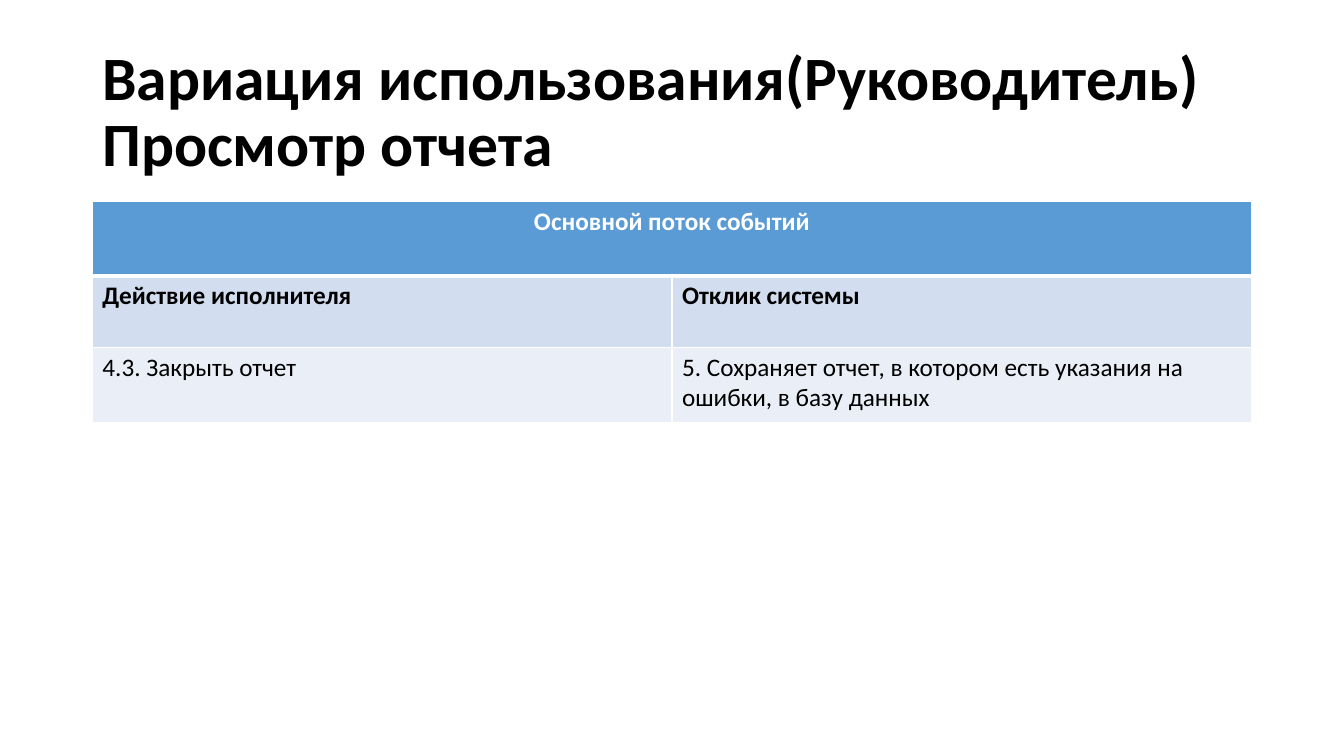
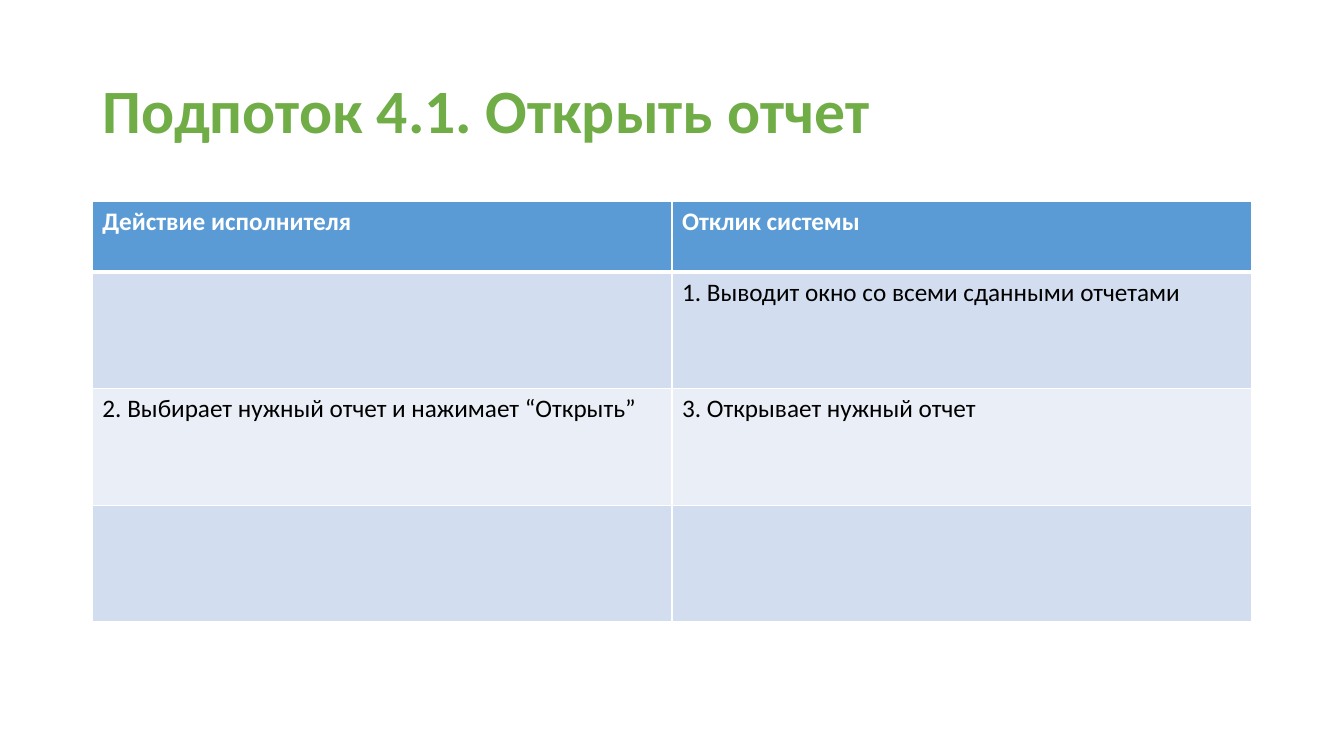
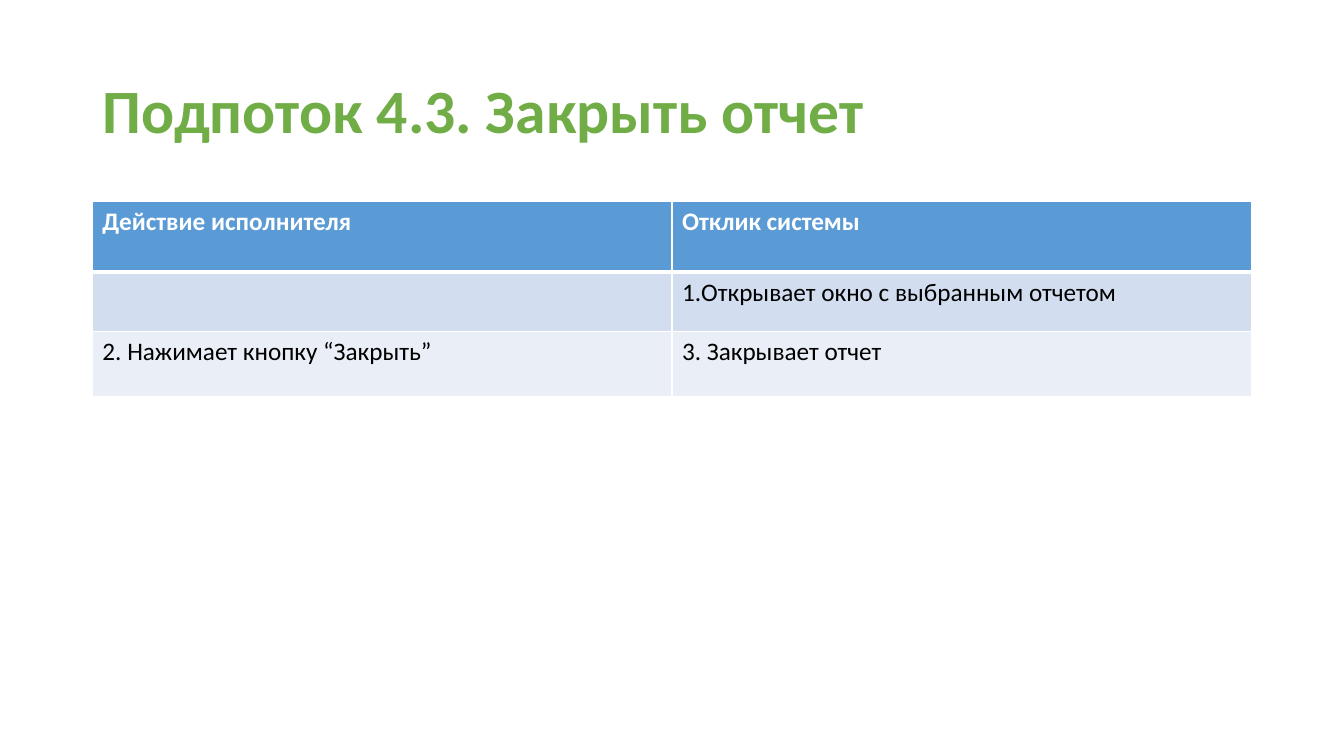
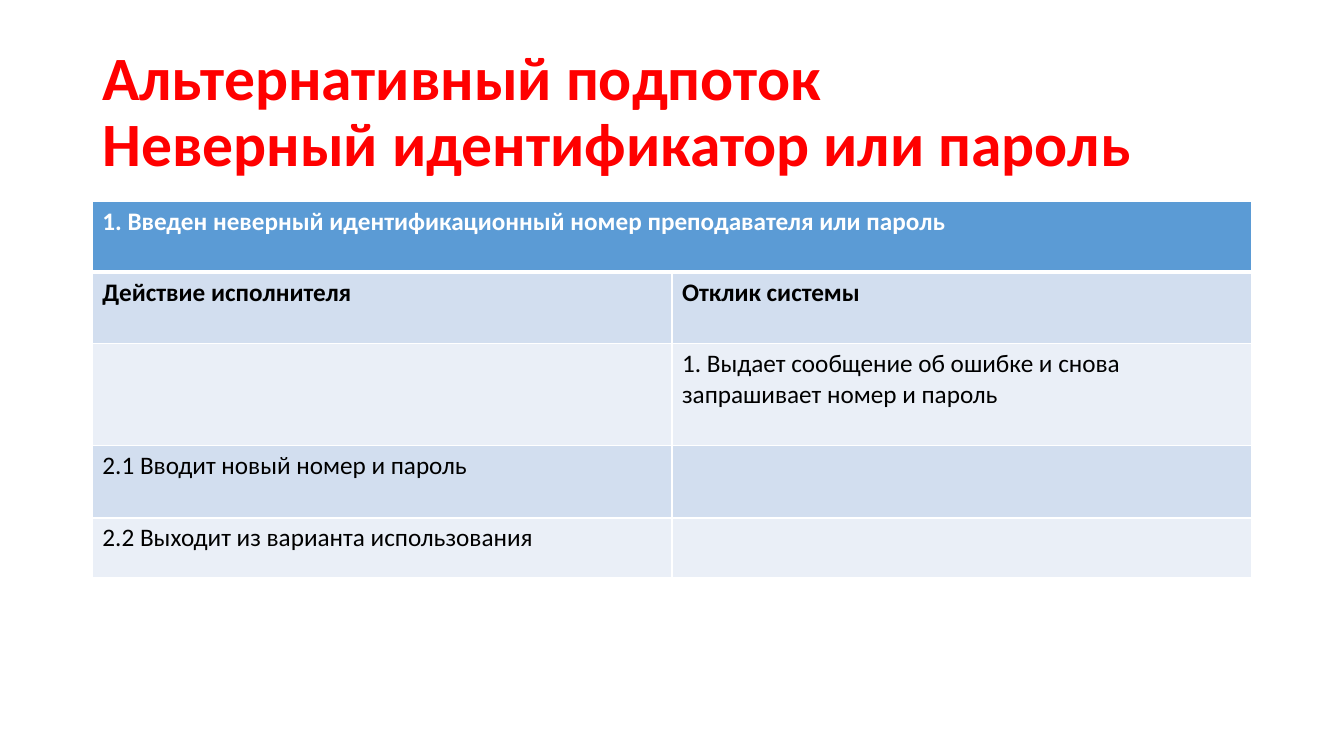
from pptx import Presentation
from pptx.dml.color import RGBColor
from pptx.enum.text import MSO_ANCHOR, PP_ALIGN
from pptx.oxml import parse_xml
from pptx.oxml.ns import nsdecls
from pptx.util import Pt

MIDDLE = MSO_ANCHOR.MIDDLE
LEFT, CENTER = PP_ALIGN.LEFT, PP_ALIGN.CENTER

FONT = "Calibri"
BLACK, WHITE, GREEN, RED = "000000", "FFFFFF", "70AD47", "FF0000"
HEADER_FILL = "5B9BD5"
BAND_FILLS = ("EAEFF7", "D2DEEF")

SLIDE_WIDTH, SLIDE_HEIGHT = 960, 540
CONTENT_WIDTH = 828
CONTENT_LEFT = (SLIDE_WIDTH - CONTENT_WIDTH) / 2
TITLE_TOP, TITLE_HEIGHT = 28.75, 104.4
TABLE_TOP = 144
THIN, THICK = 1, 3

COLUMN_HEADS = ("Действие исполнителя", "Отклик системы")

# Each table row is (height in points, cell texts); a single text spans the table.
SLIDES = [
    {
        "title": "Вариация использования(Руководитель)\nПросмотр отчета",
        "title_color": BLACK,
        "header_align": CENTER,
        "rows": [
            (53, ("Основной поток событий",)),
            (51, COLUMN_HEADS),
            (54, ("4.3. Закрыть отчет",
                  "5. Сохраняет отчет, в котором есть указания на ошибки, в базу данных")),
        ],
    },
    {
        "title": "Подпоток 4.1. Открыть отчет",
        "title_color": GREEN,
        "rows": [
            (50.5, COLUMN_HEADS),
            (83.3, ("", "1. Выводит окно со всеми сданными отчетами")),
            (83.3, ("2. Выбирает нужный отчет и нажимает “Открыть”",
                    "3. Открывает нужный отчет")),
            (83.3, ("", "")),
        ],
    },
    {
        "title": "Подпоток 4.3. Закрыть отчет",
        "title_color": GREEN,
        "rows": [
            (50.5, COLUMN_HEADS),
            (42.5, ("", "1.Открывает окно с выбранным отчетом")),
            (46.6, ("2. Нажимает кнопку “Закрыть”", "3. Закрывает отчет")),
        ],
    },
    {
        "title": "Альтернативный подпоток\nНеверный идентификатор или пароль",
        "title_color": RED,
        "rows": [
            (50.5, ("1. Введен неверный идентификационный номер преподавателя или пароль",)),
            (51, COLUMN_HEADS),
            (73, ("", "1. Выдает сообщение об ошибке и снова запрашивает номер и пароль")),
            (51.5, ("2.1 Вводит новый номер и пароль", "")),
            (42.8, ("2.2 Выходит из варианта использования", "")),
        ],
    },
]


def rgb(color):
    return RGBColor.from_string(color)


def write_text(frame, text, color, size, bold, **layout):
    para = frame.paragraphs[0]
    para.text = text
    for name, value in layout.items():
        setattr(para, name, value)
    formats = {"name": FONT, "size": Pt(size), "bold": bold}
    for font in [para.font] + [span.font for span in para.runs]:
        for name, value in formats.items():
            setattr(font, name, value)
        font.color.rgb = rgb(color)


def add_title(page, text, color):
    box = page.shapes.add_textbox(Pt(CONTENT_LEFT), Pt(TITLE_TOP),
                                  Pt(CONTENT_WIDTH), Pt(TITLE_HEIGHT))
    box.text_frame.word_wrap = True
    box.text_frame.vertical_anchor = MIDDLE
    write_text(box.text_frame, text, color, 44, True, line_spacing=0.9)


def set_borders(cell, top, bottom):
    """Draw white cell borders; call before the fill, which must follow them in the XML."""
    properties = cell._tc.get_or_add_tcPr()
    for side, width in {"L": THIN, "R": THIN, "T": top, "B": bottom}.items():
        properties.append(parse_xml(
            f'<a:ln{side} {nsdecls("a")} w="{Pt(width)}"><a:solidFill>'
            f'<a:srgbClr val="{WHITE}"/></a:solidFill></a:ln{side}>'))


def add_flow_table(page, rows, header_align):
    columns = len(COLUMN_HEADS)
    height = sum(row_height for row_height, _ in rows)
    table = page.shapes.add_table(len(rows), columns, Pt(CONTENT_LEFT), Pt(TABLE_TOP),
                                  Pt(CONTENT_WIDTH), Pt(height)).table
    for index, (row_height, texts) in enumerate(rows):
        table.rows[index].height = Pt(row_height)
        is_header = index == 0
        top = THICK if index == 1 else THIN
        bottom = THICK if is_header else THIN
        for column in range(columns):
            cell = table.cell(index, column)
            set_borders(cell, top, bottom)
            cell.fill.solid()
            cell.fill.fore_color.rgb = rgb(HEADER_FILL if is_header else BAND_FILLS[index % 2])
        if len(texts) == 1:
            table.cell(index, 0).merge(table.cell(index, columns - 1))
        for column, text in enumerate(texts):
            write_text(table.cell(index, column).text_frame, text,
                       WHITE if is_header else BLACK, 18,
                       is_header or texts == COLUMN_HEADS,
                       alignment=header_align if is_header else LEFT)


def main():
    deck = Presentation()
    deck.slide_width, deck.slide_height = Pt(SLIDE_WIDTH), Pt(SLIDE_HEIGHT)
    blank = deck.slide_layouts[6]
    for content in SLIDES:
        page = deck.slides.add_slide(blank)
        add_title(page, content["title"], content["title_color"])
        add_flow_table(page, content["rows"], content.get("header_align", LEFT))
    deck.save("out.pptx")


if __name__ == "__main__":
    main()
